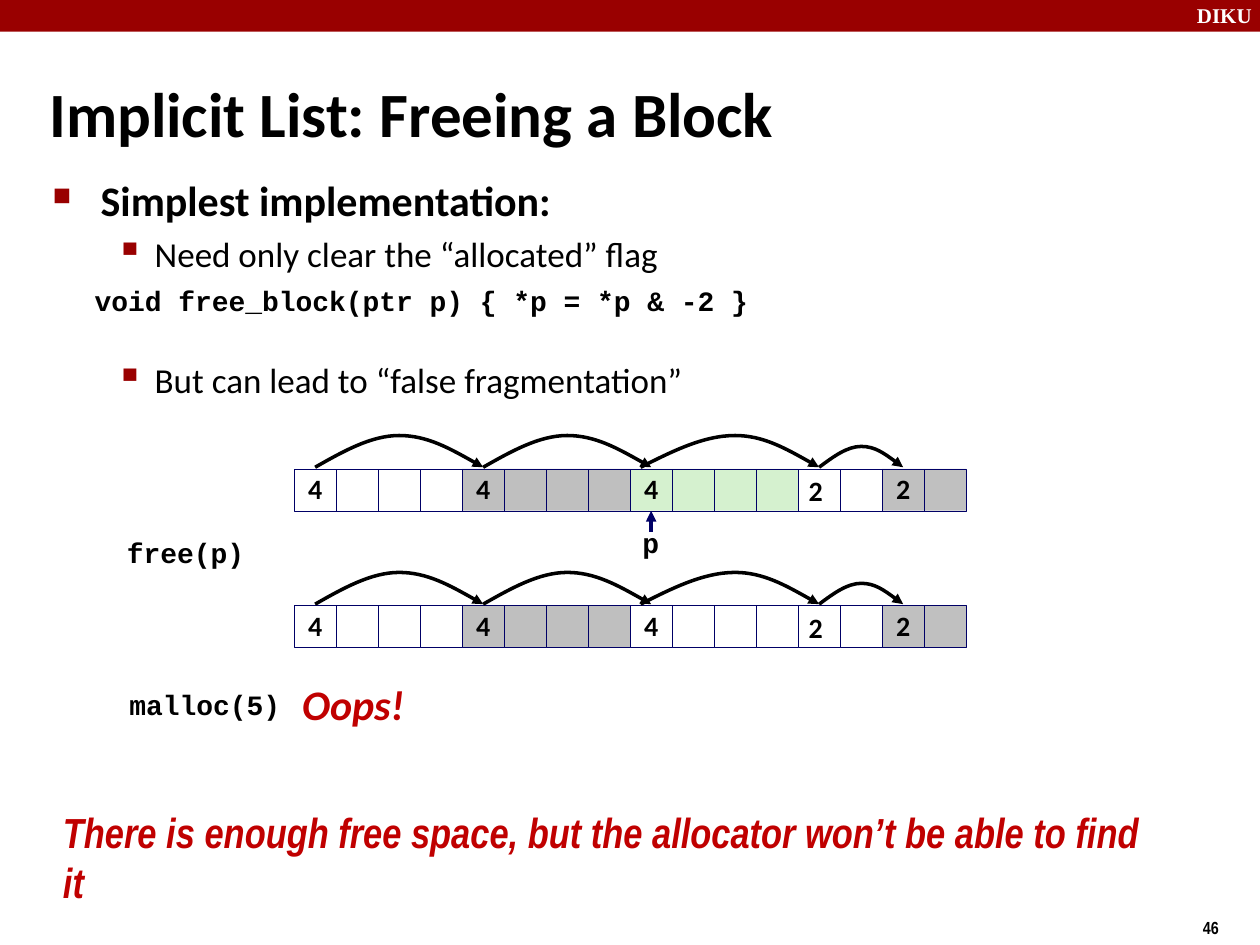
from lxml import etree
from pptx import Presentation
from pptx.dml.color import RGBColor
from pptx.enum import shapes, text
from pptx.oxml.ns import qn
from pptx.util import Cm, Pt

COLORS = {
    "bar": "990000", "white": "FFFFFF", "black": "000000", "navy": "000066",
    "gray": "BFBFBF", "silver": "C0C0C0", "green": "D5F1CF", "red": "C00000",
}
SANS, NARROW, MONO, SERIF = "Calibri", "Arial Narrow", "Courier New", "Times New Roman"

TITLE = "Implicit List: Freeing a Block"
# text, font, size, bold, left margin (cm), bullet, bullet size (%), space before (pt)
BODY = [
    ("Simplest implementation:", SANS, 24, True, 0.97, "■", 60, 0),
    ("Need only clear the “allocated” flag", SANS, 20, False, 2.06, "▪", 110, 4),
    ("void free_block(ptr p) { *p = *p & -2 }", MONO, 16, True, 0.85, None, 0, 5.3),
    ("But can lead to “false fragmentation”", SANS, 20, False, 2.06, "▪", 110, 23.6),
]
BULLET_INDENT = {24: 0.97, 20: 0.79}

CELL = 2.54 / 3
HEAP_LEFT = 5.93
# top (cm) and blocks as (number of cells, fill)
HEAPS = [
    (9.45, [(4, "white"), (4, "gray"), (4, "green"), (2, "white"), (2, "silver")]),
    (12.21, [(4, "white"), (4, "gray"), (4, "white"), (2, "white"), (2, "silver")]),
]
OFFSET_BLOCK = 3  # its size stands in a separate label
# start, apex and end in cells, height (cm)
JUMPS = [(0.5, 2.5, 4.5, 0.64), (4.5, 6.5, 8.5, 0.64),
         (8.25, 10.5, 12.5, 0.64), (12.5, 13.5, 14.5, 0.42)]

# text, left, top, width, height (cm), font, size, colour, italic, line spacing
LABELS = [
    ("DIKU", 23.88, -0.08, 1.7, 0.76, SERIF, 12, "white", False, 1),
    ("46", 24, 18.36, 1.9, 0.74, NARROW, 10, "black", False, 1),
    ("free(p)", 2.31, 10.72, 2.87, 0.94, MONO, 16, "black", False, 0.94),
    ("p", 12.7, 10.52, 0.84, 0.94, MONO, 16, "black", False, 0.94),
    ("malloc(5)", 2.36, 13.79, 3.56, 0.94, MONO, 16, "black", False, 0.94),
    ("Oops!", 5.84, 13.54, 2.57, 1.27, SANS, 24, "red", True, 1.02),
    ("There is enough free space, but the allocator won’t be able to find it",
     1.02, 16.13, 22.76, 2.03, NARROW, 24, "red", True, 1),
]


def rgb(name):
    return RGBColor.from_string(COLORS[name])


def style(p, font, size, color="black", bold=True, italic=False):
    for r in p.runs:
        f = r.font
        f.name, f.size, f.bold, f.italic = font, Pt(size), bold, italic
        f.color.rgb = rgb(color)


def add_box(s, x, y, w, h, fill, line=None):
    sp = s.shapes.add_shape(shapes.MSO_SHAPE.RECTANGLE, Cm(x), Cm(y), Cm(w), Cm(h))
    sp.shadow.inherit = False
    sp.fill.solid()
    sp.fill.fore_color.rgb = rgb(fill)
    if line:
        sp.line.color.rgb = rgb(line)
        sp.line.width = Pt(0.25)
    else:
        sp.line.fill.background()
    return sp


def add_label(s, value, x, y, w, h, font, size, color, italic, spacing):
    tf = s.shapes.add_textbox(Cm(x), Cm(y), Cm(w), Cm(h)).text_frame
    tf.word_wrap = False
    tf.text = value
    p = tf.paragraphs[0]
    p.line_spacing = spacing
    style(p, font, size, color, italic=italic)


def make_arrow(sp, color):
    sp.line.color.rgb = rgb(color)
    sp.line.width = Pt(2)
    etree.SubElement(sp.line._get_or_add_ln(), qn("a:tailEnd"), type="triangle")


def add_jump(s, top, start, apex, end, height):
    """Draw an arched arrow made of two cubic curves that meet at the apex."""
    xs = [start + (apex - start) * i / 3 for i in range(3)]
    xs += [apex + (end - apex) * i / 3 for i in range(4)]
    rises = [0, 0.5, 1, 1, 1, 0.5, 0]
    points = [(Cm(HEAP_LEFT + x * CELL), Cm(top - height * rise))
              for x, rise in zip(xs, rises)]
    builder = s.shapes.build_freeform(*points[0])
    builder.add_line_segments(points[1:], close=False)
    sp = builder.convert_to_shape()
    sp.shadow.inherit = False
    sp.fill.background()
    make_arrow(sp, "black")
    path = sp._element.find(".//" + qn("a:path"))
    segments = path.findall(qn("a:lnTo"))
    for i in range(0, len(segments), 3):
        curve = etree.SubElement(path, qn("a:cubicBezTo"))
        for segment in segments[i:i + 3]:
            curve.append(segment[0])
            path.remove(segment)


def add_heap(s, top, blocks):
    first = 0
    for n, (size, fill) in enumerate(blocks):
        for i in range(size):
            x = HEAP_LEFT + (first + i) * CELL
            sp = add_box(s, x, top, CELL, CELL, fill, "navy")
            if i == 0 and n != OFFSET_BLOCK:
                tf = sp.text_frame
                tf.word_wrap = False
                tf.vertical_anchor = text.MSO_ANCHOR.MIDDLE
                tf.text = str(size)
                p = tf.paragraphs[0]
                p.alignment = text.PP_ALIGN.CENTER
                p.line_spacing = 0.98
                style(p, SANS, 16)
        if n == OFFSET_BLOCK:
            label_x = HEAP_LEFT + first * CELL
        first += size
    add_label(s, str(blocks[OFFSET_BLOCK][0]), label_x - 0.04, top, 0.79, 0.94,
              SANS, 16, "black", False, 0.98)
    for jump in JUMPS:
        add_jump(s, top - 0.03, *jump)


def add_body(s):
    tf = s.shapes.add_textbox(Cm(0.81), Cm(3.4), Cm(23.06), Cm(12.07)).text_frame
    tf.word_wrap = True
    for n, (value, font, size, bold, margin, bullet, percent, before) in enumerate(BODY):
        p = tf.paragraphs[0] if n == 0 else tf.add_paragraph()
        p.text = value
        pPr = p._p.get_or_add_pPr()
        pPr.set("marL", str(Cm(margin)))
        if before:
            p.space_before = Pt(before)
        if bullet:
            pPr.set("indent", str(-Cm(BULLET_INDENT[size])))
            clr = etree.SubElement(pPr, qn("a:buClr"))
            etree.SubElement(clr, qn("a:srgbClr"), val=COLORS["bar"])
            etree.SubElement(pPr, qn("a:buSzPct"), val=str(percent * 1000))
            etree.SubElement(pPr, qn("a:buChar"), char=bullet)
        style(p, font, size, bold=bold)


def main():
    prs = Presentation()
    prs.slide_width, prs.slide_height = Cm(25.4), Cm(19.05)
    s = prs.slides.add_slide(prs.slide_layouts[5])
    add_box(s, 0, 0, 25.4, 0.64, "bar")

    title = s.shapes.title
    title.left, title.top, title.width, title.height = Cm(0.74), Cm(1.47), Cm(20), Cm(1.6)
    tf = title.text_frame
    tf.text = TITLE
    tf.vertical_anchor = text.MSO_ANCHOR.MIDDLE
    tf.paragraphs[0].alignment = text.PP_ALIGN.LEFT
    style(tf.paragraphs[0], SANS, 36)

    add_body(s)
    for top, blocks in HEAPS:
        add_heap(s, top, blocks)
    for label in LABELS:
        add_label(s, *label)

    x = Cm(HEAP_LEFT + 8.5 * CELL)
    pointer = s.shapes.add_connector(shapes.MSO_CONNECTOR.STRAIGHT, x, Cm(10.72), x, Cm(10.3))
    make_arrow(pointer, "navy")
    etree.SubElement(pointer._element.spPr, qn("a:effectLst"))
    prs.save("out.pptx")


if __name__ == "__main__":
    main()
